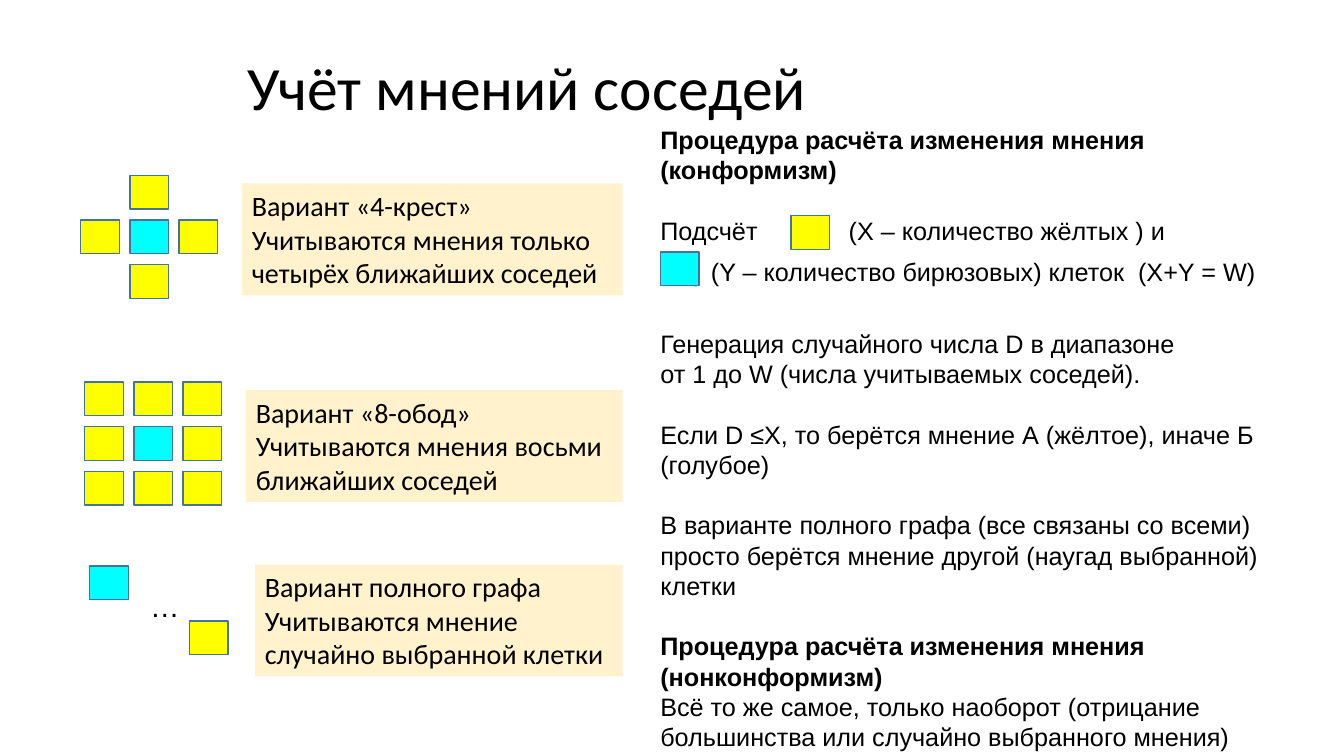
from lxml import etree
from pptx import Presentation
from pptx.dml.color import RGBColor
from pptx.enum import shapes, text
from pptx.oxml import ns
from pptx import util as u

BLACK = RGBColor(0, 0, 0)
YELLOW = RGBColor(255, 255, 0)
CYAN = RGBColor(0, 255, 255)
CREAM = RGBColor(0xFF, 0xF2, 0xCC)
OUTLINE = RGBColor(0x43, 0x73, 0x9E)

deck = Presentation()
deck.slide_width, deck.slide_height = u.Inches(13.33), u.Inches(7.5)
COLUMN, ROW = deck.slide_width / 100, deck.slide_height / 100
CELL_WIDTH, CELL_HEIGHT = 2.88, 4.45
STEP_X, STEP_Y = 3.66, 5.9
page = deck.slides.add_slide(deck.slide_layouts[1])


def area(left, top, width, height):
    """Turn hundredths of the slide into left, top, width and height."""
    return [int(left * COLUMN), int(top * ROW), int(width * COLUMN), int(height * ROW)]


def write(box, *pieces, size, font="Calibri", bold=False, before=0, after=0,
          line=1.0, indent=0, gap=0, wrap=True, anchor=text.MSO_ANCHOR.TOP):
    """Append one left-aligned paragraph; its pieces are parted by a space widened by gap points."""
    frame = box.text_frame
    frame.word_wrap, frame.vertical_anchor = wrap, anchor
    frame.auto_size = text.MSO_AUTO_SIZE.NONE
    para = frame.paragraphs[-1]
    if para.runs:
        para = frame.add_paragraph()
    para.alignment = text.PP_ALIGN.LEFT
    para.line_spacing = line
    para.space_before, para.space_after = u.Pt(before), u.Pt(after)
    layout = para._p.get_or_add_pPr()
    layout.set("marL", "0")
    layout.set("indent", str(int(indent * COLUMN)))
    etree.SubElement(layout, ns.qn("a:buNone"))
    for words in "\t".join(pieces).replace("\t", "\t \t").split("\t"):
        span = para.add_run()
        span.text = words
        span.font.size, span.font.name, span.font.bold = u.Pt(size), font, bold
        span.font.color.rgb = BLACK
        if words == " ":
            span._r.get_or_add_rPr().set("spc", str(gap * 100))


# Title
title = page.shapes.title
title.left, title.top, title.width, title.height = area(17.63, 5.87, 64.65, 12.13)
write(title, "Учёт мнений соседей", size=44, line=0.9, anchor=text.MSO_ANCHOR.MIDDLE)

# Procedure
LINE = 21.6
procedure = page.placeholders[1]
procedure.left, procedure.top, procedure.width, procedure.height = area(48.38, 15.8, 47.7, 85.07)
for pieces, form in [
    (["Процедура расчёта изменения мнения (конформизм)"], dict(bold=True)),
    (["Подсчёт", "(X – количество жёлтых ) и"], dict(before=LINE, after=8, gap=60)),
    (["(  (Y – количество бирюзовых) клеток  (X+Y = W)"], dict(after=8, indent=2.1)),
    (["Генерация случайного числа D в диапазоне"], dict(before=LINE)),
    (["от 1 до W (числа учитываемых соседей)."], {}),
    (["Если D ≤X, то берётся мнение А (жёлтое), иначе Б (голубое)"], dict(before=LINE)),
    (["В варианте полного графа (все связаны со всеми) просто берётся мнение "
      "другой (наугад выбранной) клетки"], dict(before=LINE)),
    (["Процедура расчёта изменения мнения (нонконформизм)"], dict(before=LINE, bold=True)),
    (["Всё то же самое, только наоборот (отрицание большинства или случайно "
      "выбранного мнения)"], {}),
]:
    write(procedure, *pieces, size=18, font="Arial", line=u.Pt(LINE), **form)

# Variant labels, flush on the right
LABEL_RIGHT = 46.33
for left, top, name, rule in [
    (18, 24.27, "Вариант «4-крест»", "Учитываются мнения только четырёх ближайших соседей"),
    (18.3, 51.6, "Вариант «8-обод»", "Учитываются мнения восьми ближайших соседей"),
    (18.97, 74.67, "Вариант полного графа", "Учитываются мнение случайно выбранной клетки"),
]:
    label = page.shapes.add_shape(
        shapes.MSO_SHAPE.RECTANGLE, *area(left, top, LABEL_RIGHT - left, 14.8))
    label.shadow.inherit = False
    label.fill.solid()
    label.fill.fore_color.rgb = CREAM
    label.line.fill.background()
    for words in (name, rule):
        write(label, words, size=20)

# Neighbourhood patterns: Y is a yellow cell, C a cyan one
for left, top, pattern in [
    (6, 23.23, [" Y ", "YCY", " Y "]),
    (6.3, 50.55, ["YYY", "YCY", "YYY"]),
    (6.68, 74.85, ["C"]),
    (14.1, 82.13, ["Y"]),
    (58.85, 28.53, ["Y"]),
    (49.13, 33.33, ["C"]),
]:
    for row, marks in enumerate(pattern):
        for column, mark in enumerate(marks):
            if mark == " ":
                continue
            cell = page.shapes.add_shape(
                shapes.MSO_SHAPE.RECTANGLE,
                *area(left + column * STEP_X, top + row * STEP_Y, CELL_WIDTH, CELL_HEIGHT))
            cell.shadow.inherit = False
            cell.fill.solid()
            cell.fill.fore_color.rgb = YELLOW if mark == "Y" else CYAN
            cell.line.color.rgb = OUTLINE
            cell.line.width = u.Pt(1)

ellipsis = page.shapes.add_textbox(*area(10.43, 77.07, 3.75, 6))
write(ellipsis, "…", size=21, font="Arial", wrap=False)

deck.save("out.pptx")
